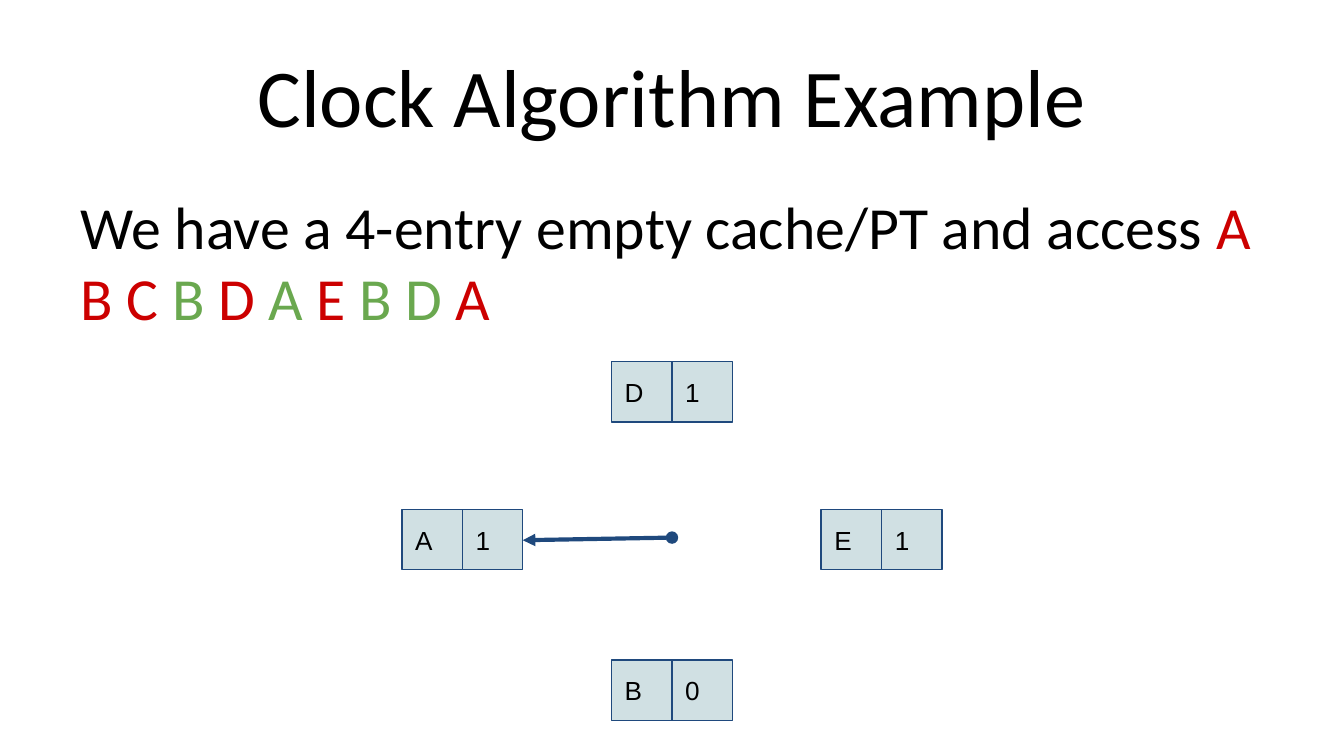
from lxml import etree
from pptx import Presentation
from pptx.dml.color import RGBColor
from pptx.enum.shapes import MSO_CONNECTOR, MSO_SHAPE
from pptx.enum.text import MSO_ANCHOR, MSO_AUTO_SIZE, PP_ALIGN
from pptx.oxml.ns import qn
from pptx.util import Inches, Pt

BLACK, NAVY, PALE = "000000", "1F497D", "D0E0E3"
MISS, HIT = "CC0000", "6AA84F"
CELL = 0.45


def color(value):
    return RGBColor.from_string(value)


def add_text(shape, runs, size, font, align, anchor):
    """Fill the shape's first paragraph with (text, colour) runs."""
    frame = shape.text_frame
    frame.word_wrap = True
    frame.auto_size = MSO_AUTO_SIZE.NONE
    frame.vertical_anchor = anchor
    frame.margin_left = frame.margin_right = Inches(0.1)
    frame.margin_top = frame.margin_bottom = Inches(0.1)
    paragraph = frame.paragraphs[0]
    paragraph.alignment = align
    paragraph.space_before = Pt(0)
    for text, value in runs:
        run = paragraph.add_run()
        run.text = text
        run.font.size = Pt(size)
        run.font.name = font
        run.font.color.rgb = color(value)
    return paragraph


presentation = Presentation()
presentation.slide_width = Inches(10)
presentation.slide_height = Inches(10 * 9 / 16)
slide = presentation.slides.add_slide(presentation.slide_layouts[1])

title = slide.shapes.title
title.left, title.top = Inches(0.5), Inches(0.23)
title.width, title.height = Inches(9), Inches(0.94)
add_text(title, [("Clock Algorithm Example", BLACK)], 44, "Calibri",
         PP_ALIGN.CENTER, MSO_ANCHOR.BOTTOM)

body = slide.placeholders[1]
body.left, body.top = Inches(0.5), Inches(1.31)
body.width, body.height = Inches(9), Inches(1.26)
accesses = [
    ("We have a 4-entry empty cache/PT and access ", BLACK),
    ("A B C ", MISS), ("B ", HIT), ("D ", MISS), ("A ", HIT),
    ("E ", MISS), ("B D ", HIT), ("A", MISS),
]
paragraph = add_text(body, accesses, 32, "Calibri", PP_ALIGN.LEFT, MSO_ANCHOR.TOP)
properties = paragraph._p.get_or_add_pPr()
properties.set("marL", "0")
properties.set("indent", "0")
etree.SubElement(properties, qn("a:buNone"))

# Cache entries around the clock: page, reference bit, left, top
entries = [
    ("D", "1", 4.55, 2.69),
    ("E", "1", 6.11, 3.79),
    ("B", "0", 4.55, 4.91),
    ("A", "1", 2.99, 3.79),
]
for page, bit, left, top in entries:
    for column, text in enumerate((page, bit)):
        cell = slide.shapes.add_shape(
            MSO_SHAPE.RECTANGLE, Inches(left + column * CELL), Inches(top),
            Inches(CELL), Inches(CELL))
        cell.shadow.inherit = False
        cell.fill.solid()
        cell.fill.fore_color.rgb = color(PALE)
        cell.line.color.rgb = color(NAVY)
        cell.line.width = Pt(0.75)
        add_text(cell, [(text, BLACK)], 14, "Arial", PP_ALIGN.LEFT, MSO_ANCHOR.MIDDLE)

hand = slide.shapes.add_connector(
    MSO_CONNECTOR.STRAIGHT, Inches(5), Inches(4), Inches(3.89), Inches(4.02))
hand.line.color.rgb = color(NAVY)
hand.line.width = Pt(2.25)
line = hand.line._get_or_add_ln()
etree.SubElement(line, qn("a:headEnd"), type="oval")
etree.SubElement(line, qn("a:tailEnd"), type="triangle")
etree.SubElement(hand._element.spPr, qn("a:effectLst"))

presentation.save("out.pptx")
